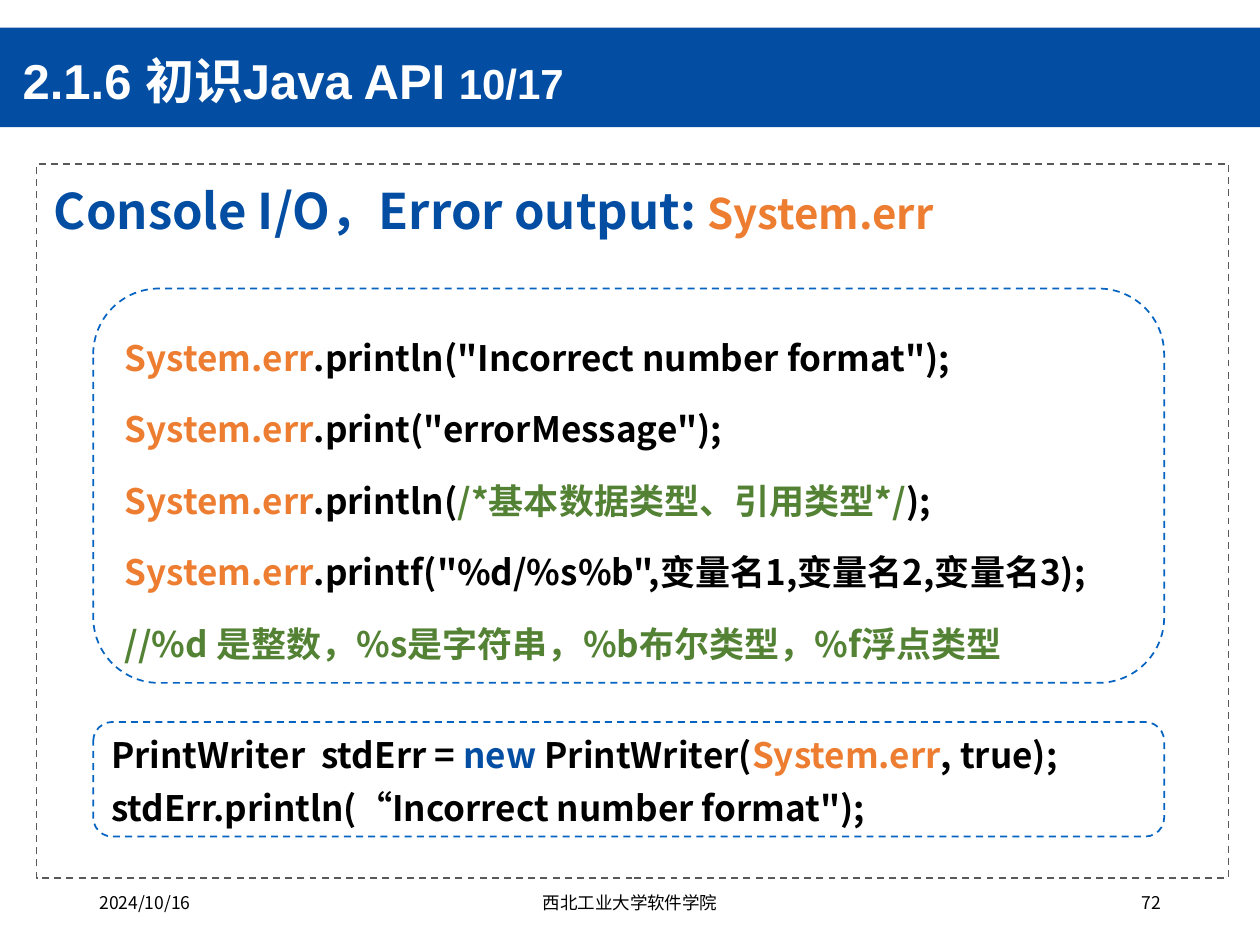
from lxml.etree import SubElement
from pptx import Presentation
from pptx.dml.color import RGBColor
from pptx.enum.dml import MSO_LINE_DASH_STYLE as Dash
from pptx.enum.shapes import MSO_SHAPE as Shape
from pptx.enum.text import MSO_ANCHOR as Anchor, MSO_AUTO_SIZE as AutoSize, PP_ALIGN as Align
from pptx.oxml.ns import qn
from pptx.util import Inches, Pt

COLORS = {
    "blue": "034EA2", "orange": "ED7D31", "green": "548235", "black": "000000",
    "white": "FFFFFF", "frame": "595959", "outline": "0563C1",
}
CJK_FONT = "Noto Sans CJK SC"

presentation = Presentation()
presentation.slide_width = Inches(10)
presentation.slide_height = Inches(7.5)
column = presentation.slide_width / 100
row = presentation.slide_height / 75
slide = presentation.slides.add_slide(presentation.slide_layouts[5])
shapes = slide.shapes


def place(left, top, width, height):
    return [round(left * column), round(top * row), round(width * column), round(height * row)]


def write(frame, lines, size, font=CJK_FONT, bold=True, spacing=1.0, gap=0, align=Align.LEFT):
    for index, line in enumerate(lines):
        paragraph = frame.add_paragraph() if index else frame.paragraphs[0]
        paragraph.alignment = align
        paragraph.line_spacing = spacing
        paragraph.space_before = Pt(gap if index else 0)
        paragraph.font.name = font
        paragraph.font.size = Pt(size)
        paragraph.font.bold = bold
        SubElement(paragraph.font._element, qn("a:ea"), typeface=CJK_FONT)
        for text, color, *run_size in line:
            run = paragraph.add_run()
            run.text = text
            run.font.color.rgb = RGBColor.from_string(COLORS[color])
            if run_size:
                run.font.size = Pt(run_size[0])


error_stream = ("System.err", "orange")
print_lines = [
    [error_stream, ('.println("Incorrect number format");', "black")],
    [error_stream, ('.print("errorMessage");', "black")],
    [error_stream, (".println(", "black"), ("/*基本数据类型、引用类型*/", "green"), (");", "black")],
    [error_stream, ('.printf("%d/%s%b",变量名1,变量名2,变量名3);', "black")],
    [("//%d 是整数，%s是字符串，%b布尔类型，%f浮点类型", "green")],
]
writer_lines = [
    [("PrintWriter  stdErr = ", "black"), ("new ", "blue"), ("PrintWriter(", "black"),
     error_stream, (", true);", "black")],
    [('stdErr.println(“Incorrect number format");', "black")],
]

banner = shapes.add_shape(Shape.RECTANGLE, *place(0, 2.2, 100, 7.9))
banner.shadow.inherit = False
banner.fill.solid()
banner.fill.fore_color.rgb = RGBColor.from_string(COLORS["blue"])
banner.line.fill.background()

for preset, area, color, lines, spacing, gap in [
    (Shape.RECTANGLE, (2.9, 13, 94.6, 56.7), "frame", [], 1, 0),
    (Shape.ROUNDED_RECTANGLE, (7.4, 22.9, 85, 31.3), "outline", print_lines, 1.7, 0),
    (Shape.ROUNDED_RECTANGLE, (7.4, 57.3, 85, 9.1), "outline", writer_lines, 1.1, 4),
]:
    panel = shapes.add_shape(preset, *place(*area))
    panel.shadow.inherit = False
    panel.fill.background()
    panel.line.color.rgb = RGBColor.from_string(COLORS[color])
    panel.line.width = Pt(1)
    panel.line.dash_style = Dash.DASH
    panel.text_frame.word_wrap = False
    panel.text_frame.vertical_anchor = Anchor.MIDDLE
    write(panel.text_frame, lines, 20, spacing=spacing, gap=gap)

title = shapes.title
title.left, title.top, title.width, title.height = place(0.8, 3.3, 73.5, 6.6)
title.text_frame.auto_size = AutoSize.NONE
title.text_frame.vertical_anchor = Anchor.MIDDLE
write(title.text_frame, [[("2.1.6 初识Java API ", "white"), ("10/17", "white", 24)]],
      28, font="Arial", spacing=0.9)
shapes._spTree.append(title._element)

heading = shapes.add_textbox(*place(3.3, 13.4, 93.8, 8))
heading.text_frame.word_wrap = True
write(heading.text_frame, [[("Console I/O，Error output: ", "blue"), (*error_stream, 24)]],
      28, spacing=1.1)

for left, width, text, align in [
    (6.9, 22.5, "2024/10/16", Align.LEFT),
    (33.1, 33.8, "西北工业大学软件学院", Align.CENTER),
    (70.6, 22.5, "72", Align.RIGHT),
]:
    footer = shapes.add_textbox(*place(left, 70.3, width, 4))
    footer.text_frame.word_wrap = True
    write(footer.text_frame, [[(text, "black")]], 10, bold=False, align=align)

presentation.save("out.pptx")
